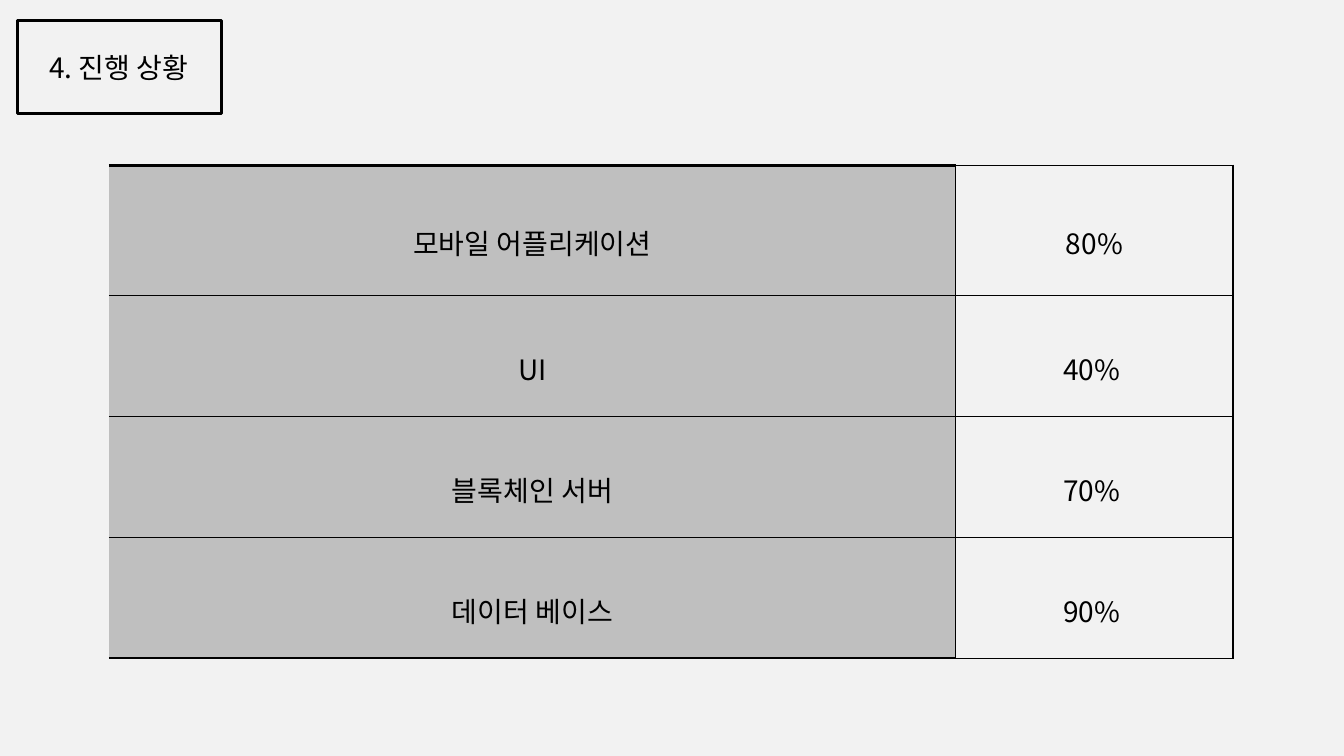
from lxml.etree import SubElement
from pptx import Presentation
from pptx.dml.color import RGBColor
from pptx.enum.shapes import MSO_SHAPE
from pptx.enum.text import MSO_ANCHOR, MSO_AUTO_SIZE, PP_ALIGN
from pptx.oxml import parse_xml
from pptx.oxml.ns import nsdecls, qn
from pptx.util import Inches, Pt

FONT = "Noto Sans CJK KR"
BLACK, GREY, PALE = "000000", "BFBFBF", "F2F2F2"
NO_STYLE = "{2D5ABB26-0587-4C30-8999-92F81FD0307C}"
PROGRESS = [
    ("모바일 어플리케이션", "80%"),
    ("UI", "40%"),
    ("블록체인 서버", "70%"),
    ("데이터 베이스", "90%"),
]


def rgb(value):
    return RGBColor.from_string(value)


def write(tf, text, spacing=1.0):
    """Set one centred paragraph in the slide's text style."""
    tf.text = text
    p = tf.paragraphs[0]
    p.alignment = PP_ALIGN.CENTER
    p.line_spacing = spacing
    for r in p.runs:
        r.font.size = Pt(20)
        r.font.name = FONT
        r.font.color.rgb = rgb(BLACK)
        SubElement(r.font._element, qn("a:ea")).set("typeface", FONT)


def set_borders(cell, widths):
    """Draw the sides named in widths (L, R, T, B), in points."""
    tcPr = cell._tc.get_or_add_tcPr()
    sides = [side for side in "LRTB" if side in widths]
    for i, side in enumerate(sides):
        tcPr.insert(i, parse_xml(
            f'<a:ln{side} {nsdecls("a")} w="{Pt(widths[side])}">'
            f'<a:solidFill><a:srgbClr val="{BLACK}"/></a:solidFill>'
            f'<a:prstDash val="solid"/></a:ln{side}>'))


def add_heading(slide, text, x, y, w, h):
    title = slide.shapes.title
    title.left, title.top = Inches(x - 0.07), Inches(y + 0.25)
    title.width, title.height = Inches(w + 0.13), Inches(0.44)
    tf = title.text_frame
    tf.auto_size = MSO_AUTO_SIZE.NONE
    tf.vertical_anchor = MSO_ANCHOR.MIDDLE
    write(tf, text)

    frame = slide.shapes.add_shape(
        MSO_SHAPE.RECTANGLE, Inches(x), Inches(y), Inches(w), Inches(h))
    frame.shadow.inherit = False
    frame.fill.background()
    frame.line.color.rgb = rgb(BLACK)
    frame.line.width = Pt(2)


def fill_cell(cell, text, color, right_inset):
    cell.fill.solid()
    cell.fill.fore_color.rgb = rgb(color)
    cell.vertical_anchor = MSO_ANCHOR.MIDDLE
    cell.margin_left, cell.margin_right = Inches(0.07), Inches(right_inset)
    cell.margin_top = cell.margin_bottom = Inches(0.02)
    write(cell.text_frame, text, 1.6)


def add_progress_table(slide, x, y, w, h):
    table = slide.shapes.add_table(
        len(PROGRESS), 2, Inches(x), Inches(y), Inches(w), Inches(h)).table
    table.first_row = table.horz_banding = False
    table._tbl.tblPr.find(qn("a:tableStyleId")).text = NO_STYLE
    table.columns[0].width = Inches(8.4)
    table.columns[1].width = Inches(w - 8.4)

    last = len(PROGRESS) - 1
    for i, (part, percent) in enumerate(PROGRESS):
        table.rows[i].height = Inches(h - 1.2 * last if i == 0 else 1.2)
        name, value = table.cell(i, 0), table.cell(i, 1)
        fill_cell(name, part, GREY, 0.07)
        fill_cell(value, percent, PALE, 0.07 if i == 0 else 0.12)
        set_borders(name, {"R": 1, "T": 1.98 if i == 0 else 0.28,
                           "B": 1.98 if i == last else 0.28})
        set_borders(value, dict.fromkeys("LRTB", 1))


def main():
    prs = Presentation()
    prs.slide_width, prs.slide_height = Inches(13.33), Inches(7.5)
    slide = prs.slides.add_slide(prs.slide_layouts[5])
    slide.background.fill.solid()
    slide.background.fill.fore_color.rgb = rgb(PALE)
    add_heading(slide, "4. 진행 상황", 0.17, 0.2, 2.03, 0.93)
    add_progress_table(slide, 1.08, 1.64, 11.15, 4.89)
    prs.save("out.pptx")


if __name__ == "__main__":
    main()
